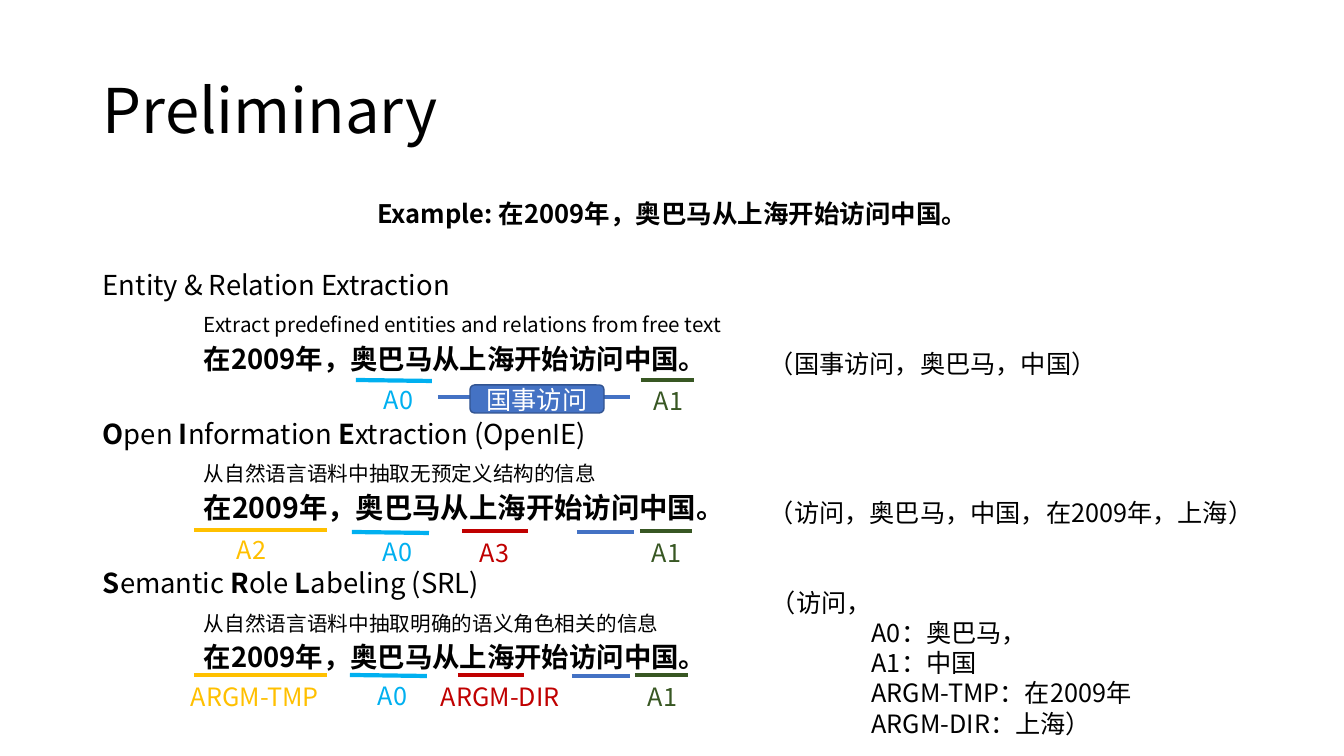
import pptx
import pptx.dml.color
import pptx.enum.shapes
import pptx.enum.text
import pptx.oxml.ns
import pptx.util
from lxml import etree

PX = 914400 / 100.8
FONT = "Noto Sans CJK SC"
COLORS = {
    "text": "000000",
    "white": "FFFFFF",
    "time": "FFC000",
    "agent": "00B0F0",
    "place": "C00000",
    "trigger": "4472C4",
    "patient": "385723",
    "border": "325491",
}
SENTENCE = "在2009年，奥巴马从上海开始访问中国。"
TASKS = [
    ("Entity & Relation Extraction", 35.5,
     "Extract predefined entities and relations from free text", 19.6),
    ("*O*pen *I*nformation *E*xtraction (OpenIE)", 37,
     "从自然语言语料中抽取无预定义结构的信息", 20.3),
    ("*S*emantic *R*ole *L*abeling (SRL)", 37,
     "从自然语言语料中抽取明确的语义角色相关的信息", 19.6),
]
UNDERLINES = [
    ("agent", 356, 432, 380, 381),
    ("patient", 641, 694, 380, 380),
    ("time", 194, 327, 530, 530),
    ("agent", 352, 429, 532, 533),
    ("place", 462, 528, 531, 531),
    ("trigger", 577, 634, 532, 532),
    ("patient", 640, 692, 531, 531),
    ("time", 194, 327, 675, 675),
    ("agent", 350, 427, 675, 676),
    ("place", 458, 524, 675, 675),
    ("trigger", 572, 630, 676, 676),
    ("patient", 635, 688, 675, 675),
    ("trigger", 438, 630, 397, 397),
]
ROLE_LABELS = [
    ("A0", "agent", 374, 379, 58),
    ("A1", "patient", 644, 380, 58),
    ("A2", "time", 227, 529, 58),
    ("A0", "agent", 373, 531, 58),
    ("A3", "place", 470, 532, 58),
    ("A1", "patient", 642, 532, 58),
    ("ARGM-TMP", "time", 181, 676, 173),
    ("A0", "agent", 368, 675, 58),
    ("ARGM-DIR", "place", 431, 676, 173),
    ("A1", "patient", 638, 676, 58),
]
TUPLES = [
    (["（国事访问，奥巴马，中国）"], 759, 343, 412),
    (["（访问，奥巴马，中国，在2009年，上海）"], 759, 492, 519),
    (["（访问，", "A0：奥巴马，", "A1：中国", "ARGM-TMP：在2009年", "ARGM-DIR：上海）"],
     761, 582, 519),
]


def px(length):
    """Turn pixels into EMU."""
    return pptx.util.Emu(round(length * PX))


def rgb(name):
    """Look up a named colour."""
    return pptx.dml.color.RGBColor.from_string(COLORS[name])


def format_run(run, size, color="text", bold=False):
    """Set font, size, colour and weight of a run."""
    run.font.name = FONT
    run.font.size = pptx.util.Pt(size)
    run.font.bold = bold
    run.font.color.rgb = rgb(color)
    east_asian = etree.SubElement(run.font._element, pptx.oxml.ns.qn("a:ea"))
    east_asian.set("typeface", FONT)


def indent(paragraph):
    """Indent a paragraph by one inch."""
    paragraph._p.get_or_add_pPr().set("marL", "914400")


def add_text(slide, lines, left, top, width, height, size=18, color="text"):
    """Add a text box whose lines after the first are indented."""
    text_frame = slide.shapes.add_textbox(px(left), px(top), px(width), px(height)).text_frame
    text_frame.word_wrap = True
    text_frame.text = "\n".join(lines)
    for index, paragraph in enumerate(text_frame.paragraphs):
        format_run(paragraph.runs[0], size, color)
        if index:
            indent(paragraph)
    return text_frame


def add_outline_line(text_frame, text, size, space, bold=False, indented=False):
    """Append a tight paragraph in which asterisks switch bold type."""
    paragraph = text_frame.add_paragraph()
    paragraph.line_spacing = 0.7
    paragraph.space_before = pptx.util.Pt(space)
    if indented:
        indent(paragraph)
    for index, part in enumerate(text.split("*")):
        if part:
            run = paragraph.add_run()
            run.text = part
            format_run(run, size, bold=bold or index % 2 == 1)


def add_outline(slide):
    """Add the example sentence and the three extraction tasks."""
    text_frame = add_text(slide, ["Example: " + SENTENCE], 93, 201, 1159, 480, 18.2)
    example = text_frame.paragraphs[0]
    example.alignment = pptx.enum.text.PP_ALIGN.CENTER
    example.line_spacing = 0.7
    example.runs[0].font.bold = True
    for heading, space, description, sentence_size in TASKS:
        add_outline_line(text_frame, heading, 19.6, space)
        add_outline_line(text_frame, description, 14.7, 13.5, indented=True)
        add_outline_line(text_frame, SENTENCE, sentence_size, 10.5, bold=True, indented=True)


def add_underline(slide, color, start, end, start_y, end_y):
    """Add a thick coloured line."""
    connector = slide.shapes.add_connector(
        pptx.enum.shapes.MSO_CONNECTOR.STRAIGHT, px(start), px(start_y), px(end), px(end_y))
    connector.line.color.rgb = rgb(color)
    connector.line.width = pptx.util.Pt(3)
    etree.SubElement(connector._element.spPr, pptx.oxml.ns.qn("a:effectLst"))


def add_relation(slide, text, left, top, width, height):
    """Add the rounded box that names a relation."""
    shape = slide.shapes.add_shape(
        pptx.enum.shapes.MSO_SHAPE.ROUNDED_RECTANGLE, px(left), px(top), px(width), px(height))
    shape.shadow.inherit = False
    shape.fill.solid()
    shape.fill.fore_color.rgb = rgb("trigger")
    shape.line.color.rgb = rgb("border")
    shape.line.width = pptx.util.Pt(1)
    text_frame = shape.text_frame
    text_frame.text = text
    text_frame.vertical_anchor = pptx.enum.text.MSO_ANCHOR.MIDDLE
    text_frame.paragraphs[0].alignment = pptx.enum.text.PP_ALIGN.CENTER
    format_run(text_frame.paragraphs[0].runs[0], 18, "white")


def main():
    """Build the slide and save it."""
    presentation = pptx.Presentation()
    presentation.slide_width = px(1344)
    presentation.slide_height = px(756)
    slide = presentation.slides.add_slide(presentation.slide_layouts[6])
    title = add_text(slide, ["Preliminary"], 93, 41, 1159, 146, 44)
    title.vertical_anchor = pptx.enum.text.MSO_ANCHOR.MIDDLE
    title.paragraphs[0].line_spacing = 0.9
    add_outline(slide)
    for underline in UNDERLINES:
        add_underline(slide, *underline)
    for text, color, left, top, width in ROLE_LABELS:
        add_text(slide, [text], left, top, width, 40, color=color)
    add_relation(slide, "国事访问", 470, 385, 134, 28)
    for lines, left, top, width in TUPLES:
        add_text(slide, lines, left, top, width, 10 + 30 * len(lines))
    presentation.save("out.pptx")


if __name__ == "__main__":
    main()
